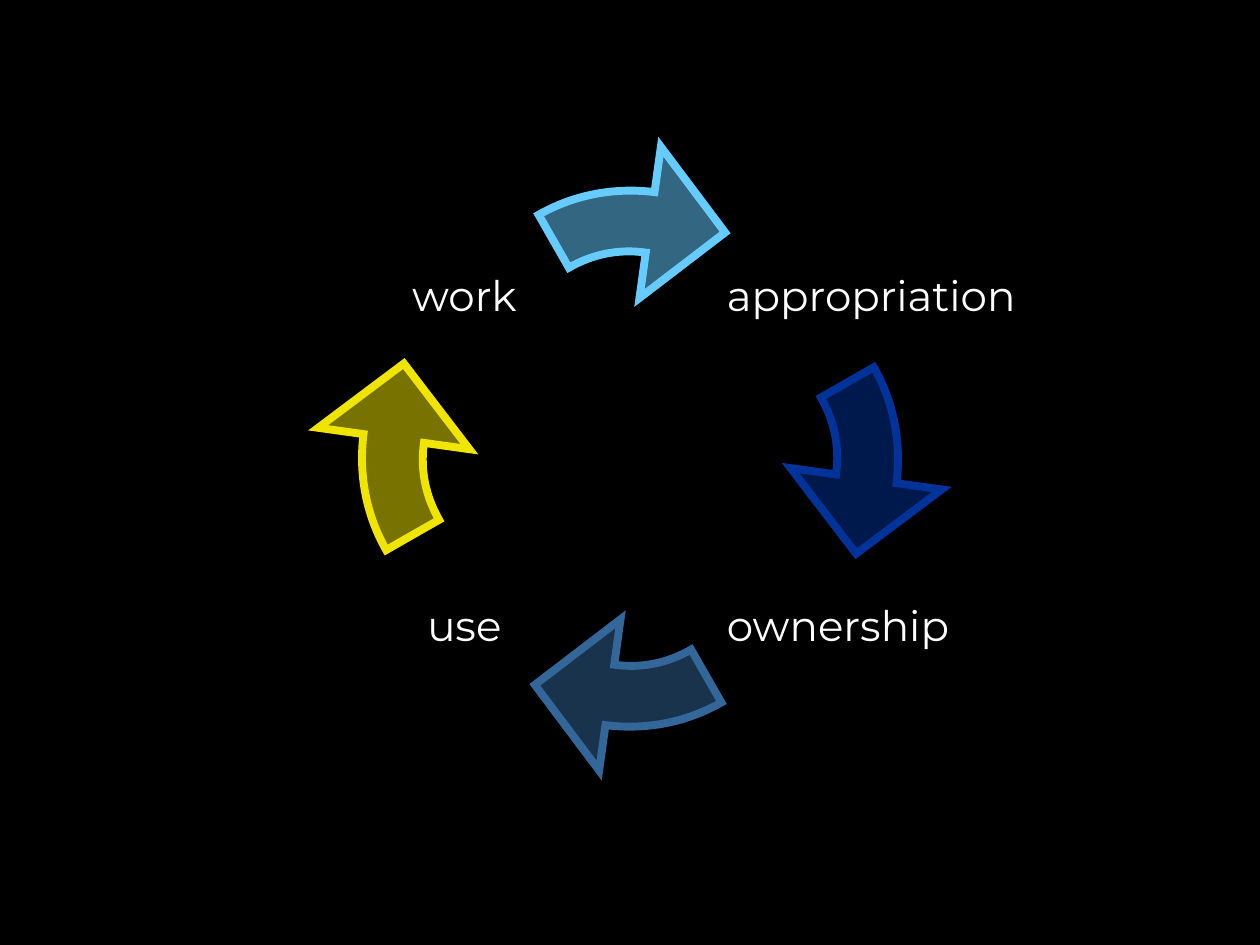
import pptx
import pptx.util
import pptx.dml.color
import pptx.enum.text
import pptx.oxml.ns
from lxml import etree

Inches = pptx.util.Inches
RGBColor = pptx.dml.color.RGBColor
ALIGN = pptx.enum.text.PP_ALIGN
qn = pptx.oxml.ns.qn

COLORS = {
    "background": "000000", "text": "FFFFFF",
    "sky": "66CCFF", "navy": "003399", "steel": "336699", "yellow": "F0E500",
}
FONT = "Montserrat"

# Arrows clockwise from the top: colour and direction of the frame from the centre
ARROWS = [("sky", 0, -1), ("navy", 1, 0), ("steel", 0, 1), ("yellow", -1, 0)]
CENTER_X, CENTER_Y = 5, 3.64
FRAME_SIZE, FRAME_SHIFT = 2.89, 0.68

# Arrow outline inside its square frame; the two arcs are Bezier curves
ARROW_START = (1.57, 0.49)
ARROW_STEPS = [
    ("curve", [(1.36, 0.46), (1.15, 0.5), (0.96, 0.61)]),
    ("line", [(0.72, 0.19)]),
    ("curve", [(1, 0.03), (1.32, -0.03), (1.64, 0.01)]),
    ("line", [(1.69, -0.35), (2.2, 0.33), (1.52, 0.85)]),
]

# Stages: word, column, row, width, alignment
STAGES = [
    ("appropriation", 1, 0, 2.4, ALIGN.LEFT),
    ("use", 0, 1, 1.09, ALIGN.CENTER),
    ("work", 0, 0, 1.09, ALIGN.CENTER),
    ("ownership", 1, 1, 1.9, ALIGN.LEFT),
]
COLUMNS, ROWS, STAGE_HEIGHT = (3.14, 5.77), (1.79, 4.41), 1.09


def emu(point):
    return Inches(point[0]), Inches(point[1])


def add_arrow(shapes, color, quarters, across, down):
    builder = shapes.build_freeform(*emu(ARROW_START))
    for _, points in ARROW_STEPS:
        builder.add_line_segments([emu(p) for p in points], close=False)
    builder.add_line_segments([], close=True)
    arrow = builder.convert_to_shape()
    arrow.shadow.inherit = False

    # Measure the outline from the frame's corner instead of its own edges
    outline_left, outline_top = arrow.left, arrow.top
    geometry = next(arrow._element.iter(qn("a:pathLst")))[0]
    for point in geometry.iter(qn("a:pt")):
        point.set("x", str(int(point.get("x")) + outline_left))
        point.set("y", str(int(point.get("y")) + outline_top))
    size = Inches(FRAME_SIZE)
    geometry.set("w", str(size))
    geometry.set("h", str(size))
    arrow.left = Inches(CENTER_X + FRAME_SHIFT * across - FRAME_SIZE / 2)
    arrow.top = Inches(CENTER_Y + FRAME_SHIFT * down - FRAME_SIZE / 2)
    arrow.width = arrow.height = size
    arrow.rotation = 90 * quarters

    # Merge the three points of each arc into one Bezier segment
    segments = iter(list(geometry.iter(qn("a:lnTo"))))
    for kind, points in ARROW_STEPS:
        parts = [next(segments) for _ in points]
        if kind == "curve":
            curve = etree.Element(qn("a:cubicBezTo"))
            parts[0].addprevious(curve)
            for part in parts:
                curve.append(part[0])
                geometry.remove(part)

    # Half-transparent fill and a sharp-cornered outline
    rgb = RGBColor.from_string(COLORS[color])
    arrow.fill.solid()
    arrow.fill.fore_color.rgb = rgb
    fill = arrow._element.spPr.find(qn("a:solidFill"))
    etree.SubElement(fill[0], qn("a:alpha"), val="50000")
    arrow.line.color.rgb = rgb
    arrow.line.width = pptx.util.Pt(4.5)
    outline = arrow._element.spPr.find(qn("a:ln"))
    etree.SubElement(outline, qn("a:miter"), lim="800000")


def add_stage(shapes, word, column, row, width, alignment):
    stage = shapes.add_textbox(Inches(COLUMNS[column]), Inches(ROWS[row]),
                               Inches(width), Inches(STAGE_HEIGHT))
    frame = stage.text_frame
    frame.text = word
    frame.word_wrap = False
    frame.vertical_anchor = pptx.enum.text.MSO_ANCHOR.MIDDLE
    frame.margin_left = frame.margin_right = 0
    frame.margin_top = frame.margin_bottom = 0
    paragraph = frame.paragraphs[0]
    paragraph.alignment = alignment
    font = paragraph.runs[0].font
    font.name = FONT
    font.size = pptx.util.Pt(24)
    font.color.rgb = RGBColor.from_string(COLORS["text"])


def main():
    deck = pptx.Presentation()
    deck.slide_width, deck.slide_height = Inches(10), Inches(7.5)
    slide = deck.slides.add_slide(deck.slide_layouts[6])
    slide.background.fill.solid()
    slide.background.fill.fore_color.rgb = RGBColor.from_string(COLORS["background"])

    cycle = slide.shapes.add_group_shape()
    for quarters, (color, across, down) in enumerate(ARROWS):
        add_arrow(cycle.shapes, color, quarters, across, down)
    for stage in STAGES:
        add_stage(cycle.shapes, *stage)
    deck.save("out.pptx")


if __name__ == "__main__":
    main()
